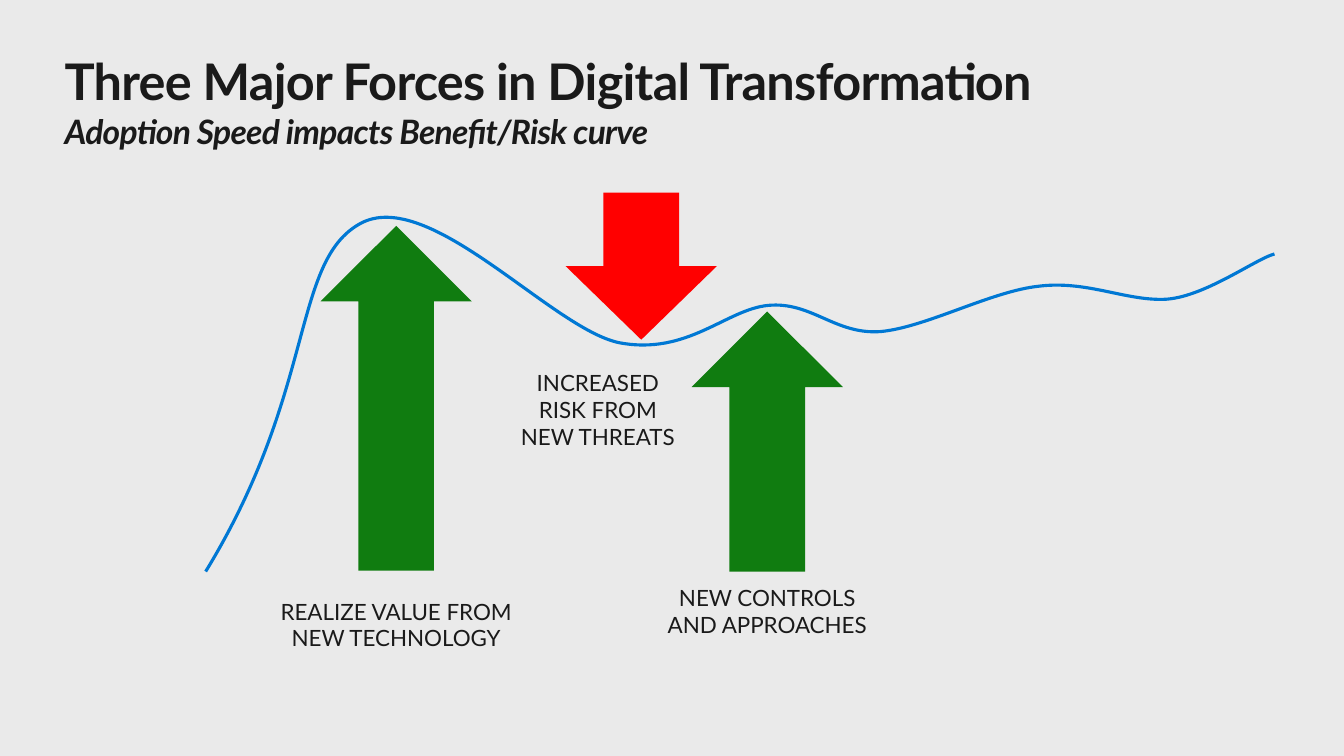
from lxml.etree import SubElement as Sub
from pptx import Presentation
from pptx.dml.color import RGBColor
from pptx.enum.shapes import MSO_SHAPE as Shape
from pptx.enum.text import PP_ALIGN as Align
from pptx.oxml.ns import qn
from pptx.util import Inches, Pt

INK, PAPER, GREEN, RED, BLUE = "1A1A1A", "EAEAEA", "107C10", "FF0000", "0078D4"


def rgb(code):
    return RGBColor.from_string(code)


class Board:
    font = "Lato"

    def __init__(self, deck):
        self.slide = deck.slides.add_slide(deck.slide_layouts[6])
        self.shapes = self.slide.shapes
        fill = self.slide.background.fill
        fill.solid()
        fill.fore_color.rgb = rgb(PAPER)

    def text(self, box, lines, align=Align.LEFT, bold=None, gap=None, fill=None):
        """Lines are (text, size, italic), parted by line breaks."""
        shape = self.shapes.add_textbox(*map(Inches, box))
        if fill:
            shape.fill.solid()
            shape.fill.fore_color.rgb = rgb(fill)
        frame = shape.text_frame
        frame.word_wrap = True
        frame.margin_left = frame.margin_right = 0
        frame.margin_top = frame.margin_bottom = 0
        para = frame.paragraphs[0]
        para.alignment = align
        font = para.font
        font.name, font.bold, font.color.rgb = self.font, bold, rgb(INK)
        font.size = Pt(lines[0][1])
        for i, (words, size, italic) in enumerate(lines):
            if i:
                para.add_line_break()
            run = para.add_run()
            run.text = words
            if len(lines) > 1:
                run.font.size, run.font.italic = Pt(size), italic
            if gap:
                run.font._element.set("spc", str(int(gap * 100)))

    def label(self, box, words, fill=None):
        self.text(box, [(words, 16, None)], Align.CENTER, fill=fill)

    def arrow(self, box, color, turn=0):
        shape = self.shapes.add_shape(Shape.UP_ARROW, *map(Inches, box))
        shape.shadow.inherit = False
        shape.rotation = turn
        shape.fill.solid()
        shape.fill.fore_color.rgb = rgb(color)
        shape.line.fill.background()

    def curve(self, box, start, bends, color, width):
        """Each bend is two control points and an end point."""
        left, top, wide, high = map(Inches, box)
        pen = self.shapes.build_freeform(*map(Inches, start))
        pen.add_line_segments([tuple(map(Inches, b[-1])) for b in bends], False)
        shape = pen.convert_to_shape()
        shape.left, shape.top, shape.width, shape.height = left, top, wide, high
        shape.shadow.inherit = False
        shape.fill.background()
        shape.line.color.rgb = rgb(color)
        shape.line.width = Pt(width)

        # Turn the straight steps into cubic curves
        path = next(shape._element.iter(qn("a:path")))
        path.set("w", str(wide))
        path.set("h", str(high))
        for step in list(path):
            path.remove(step)
        for tag, points in [("a:moveTo", [start])] + [
                ("a:cubicBezTo", bend) for bend in bends]:
            step = Sub(path, qn(tag))
            for x, y in points:
                Sub(step, qn("a:pt"), x=str(Inches(x) - left),
                    y=str(Inches(y) - top))


def main():
    deck = Presentation()
    deck.slide_width, deck.slide_height = Inches(13.33), Inches(7.5)
    board = Board(deck)

    # Title and subtitle
    board.text((0.64, 0.5, 12.05, 1.01), [
        ("Three Major Forces in Digital Transformation", 36, None),
        ("Adoption Speed impacts Benefit/Risk curve", 24, True),
    ], bold=True, gap=-0.5)

    # Forces
    board.arrow((3.18, 2.24, 1.5, 3.42), GREEN)
    board.arrow((5.61, 1.91, 1.5, 1.46), RED, turn=180)
    board.arrow((6.86, 3.09, 1.5, 2.58), GREEN)

    # Labels
    board.label((2.63, 5.93, 2.6, 0.54), "REALIZE VALUE FROM NEW TECHNOLOGY")
    board.label((5.08, 3.66, 1.7, 0.81), "INCREASED RISK FROM NEW THREATS")
    board.label((6.47, 5.8, 2.28, 0.54), "NEW CONTROLS AND APPROACHES", PAPER)

    # Benefit and risk curve
    bends = [
        ((3.14, 3.87), (2.89, 2.6), (3.57, 2.22)),
        ((4.25, 1.84), (5.47, 3.26), (6.14, 3.4)),
        ((6.82, 3.53), (7.2, 3.07), (7.62, 3.03)),
        ((8.05, 2.99), (8.28, 3.32), (8.73, 3.29)),
        ((9.18, 3.25), (9.83, 2.89), (10.3, 2.84)),
        ((10.77, 2.78), (11.15, 2.98), (11.54, 2.97)),
        ((11.93, 2.96), (12.45, 2.57), (12.64, 2.52)),
    ]
    board.curve((2.04, 2.16, 10.6, 3.52), (2.04, 5.67), bends, BLUE, 2.25)

    deck.save("out.pptx")


if __name__ == "__main__":
    main()
